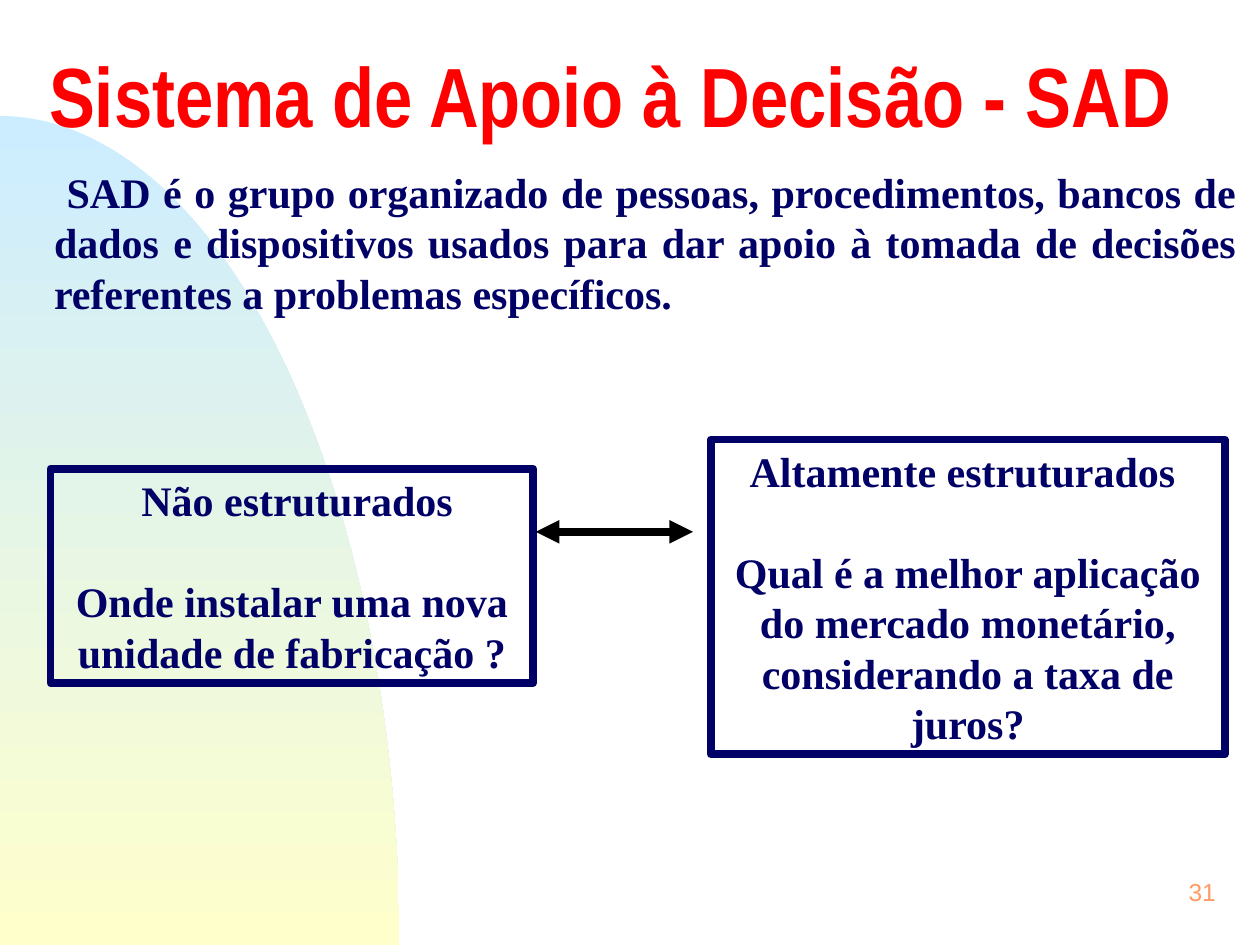
from math import cos, pi, sin

from lxml.etree import SubElement
from pptx import Presentation
from pptx.dml.color import RGBColor
from pptx.enum.shapes import MSO_CONNECTOR, MSO_SHAPE
from pptx.enum.text import MSO_ANCHOR, MSO_AUTO_SIZE, PP_ALIGN as Align
from pptx.oxml.ns import qn
from pptx.util import Cm, Pt

NAVY = RGBColor(0x00, 0x00, 0x66)
RED = RGBColor(0xFF, 0x00, 0x00)
ORANGE = RGBColor(0xFF, 0x99, 0x66)
BLACK = RGBColor(0x01, 0x00, 0x00)
SKY = RGBColor(0xCC, 0xEC, 0xFF)
CREAM = RGBColor(0xFF, 0xFF, 0xCC)
SERIF = "Times New Roman"


def write(shape, lines, font, size, color, bold=True, align=Align.LEFT):
    """Fill a shape with one paragraph per line; return the paragraphs."""
    frame = shape.text_frame
    frame.word_wrap = True
    frame.text = "\n".join(lines)
    for para in frame.paragraphs:
        para.alignment = align
        para.font.name = font
        para.font.size = Pt(size)
        para.font.bold = bold
        para.font.color.rgb = color
    return frame.paragraphs


deck = Presentation()
deck.slide_width, deck.slide_height = Cm(25.4), Cm(19.05)
page = deck.slides.add_slide(deck.slide_layouts[6])
shapes = page.shapes

# Background: quarter ellipse centred on the bottom left corner
RADIUS_X, RADIUS_Y, STEPS = 8.05, 16.71, 60
angles = [pi / 2 * step / STEPS for step in range(STEPS + 1)]
arc = [(Cm(RADIUS_X * sin(angle)), Cm(19.05 - RADIUS_Y * cos(angle))) for angle in angles]
builder = shapes.build_freeform(*arc[0])
builder.add_line_segments(arc[1:] + [(0, Cm(19.05))], close=True)
curve = builder.convert_to_shape()
curve.shadow.inherit = False
curve.line.fill.background()
curve.fill.gradient()
curve.fill.gradient_angle = 270
for stop, color in zip(curve.fill.gradient_stops, (SKY, CREAM)):
    stop.color.rgb = color

# Page number
number = shapes.add_textbox(Cm(19.48), Cm(17.35), Cm(5.28), Cm(1.27))
write(number, ["31"], "Arial", 14, ORANGE, bold=False, align=Align.RIGHT)
number.text_frame.vertical_anchor = MSO_ANCHOR.MIDDLE

# Title
title = shapes.add_textbox(Cm(0.74), Cm(0.56), Cm(23.5), Cm(3.18))
heading = write(title, ["Sistema de Apoio à Decisão - SAD"], "Arial Narrow", 48, RED)
heading[0].line_spacing = 0.7
title.text_frame.vertical_anchor = MSO_ANCHOR.MIDDLE

# Two kinds of problem, each with an example question
problems = [
    (1.02, 9.45, 9.73, 4.32,
     [" Não estruturados", "Onde instalar uma nova", "unidade de fabricação ?"]),
    (14.33, 8.86, 10.36, 6.35,
     ["Altamente estruturados ",
      "Qual é a melhor aplicação do mercado monetário, considerando a taxa de juros?"]),
]
for left, top, width, height, lines in problems:
    box = shapes.add_shape(MSO_SHAPE.RECTANGLE, Cm(left), Cm(top), Cm(width), Cm(height))
    box.shadow.inherit = False
    box.fill.background()
    box.line.color.rgb = NAVY
    box.line.width = Pt(4.5)
    paras = write(box, lines, SERIF, 24, NAVY, align=Align.CENTER)
    paras[1].space_before = Pt(28.8)
    box.text_frame.vertical_anchor = MSO_ANCHOR.TOP
    box.text_frame.auto_size = MSO_AUTO_SIZE.SHAPE_TO_FIT_TEXT

# Double arrow between the boxes
arrow = shapes.add_connector(MSO_CONNECTOR.STRAIGHT, Cm(10.8), Cm(10.72), Cm(13.97), Cm(10.72))
arrow.line.color.rgb = BLACK
arrow.line.width = Pt(4.5)
outline = arrow.line._get_or_add_ln()
for end in ("a:headEnd", "a:tailEnd"):
    SubElement(outline, qn(end), type="triangle")
SubElement(arrow._element.spPr, qn("a:effectLst"))

# Definition
definition = shapes.add_textbox(Cm(0.84), Cm(3.23), Cm(24.33), Cm(3.3))
write(definition,
      [" SAD é o grupo organizado de pessoas, procedimentos, bancos de dados e "
       "dispositivos usados para dar apoio à tomada de decisões referentes a "
       "problemas específicos."],
      SERIF, 24, NAVY, align=Align.JUSTIFY)
definition.text_frame.auto_size = MSO_AUTO_SIZE.SHAPE_TO_FIT_TEXT

deck.save("out.pptx")
